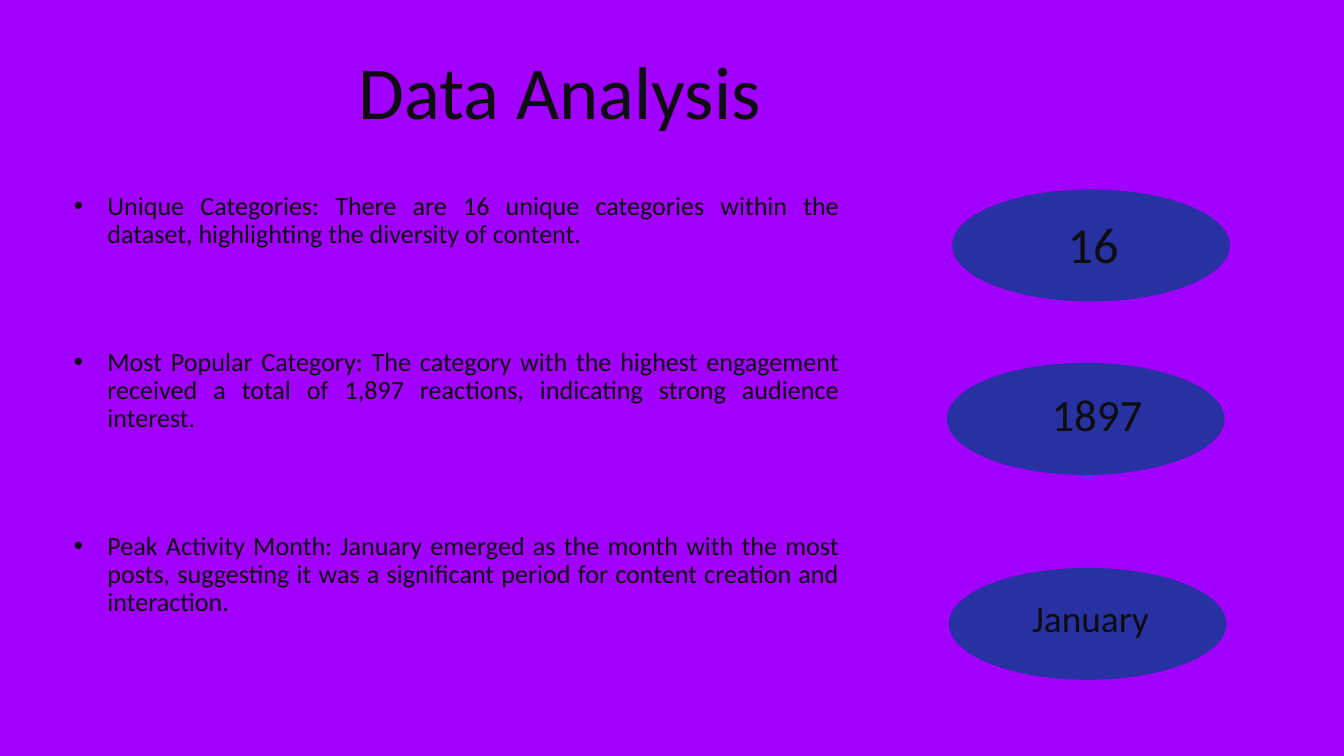
"""Build the Data Analysis slide with three findings and their key figures."""
from lxml.etree import SubElement
from pptx import Presentation
from pptx.dml.color import RGBColor
from pptx.enum.shapes import MSO_SHAPE
from pptx.enum.text import MSO_ANCHOR, PP_ALIGN
from pptx.oxml.ns import qn
from pptx.util import Pt

INK = "0D0D0D"
PURPLE = "A100FF"
BLUE = "2831A2"


def color(value):
    return RGBColor.from_string(value)


def add_text(frame, text, size, align=PP_ALIGN.LEFT, line_spacing=1.0, gap=0, bullet=False):
    para = frame.paragraphs[0]
    if para.runs:
        para = frame.add_paragraph()
        para.space_before = Pt(gap)
    para.alignment = align
    para.line_spacing = line_spacing
    if bullet:
        properties = para._p.get_or_add_pPr()
        properties.set("marL", str(Pt(36)))
        properties.set("indent", str(Pt(-36)))
        SubElement(properties, qn("a:buFont"), typeface="Arial")
        SubElement(properties, qn("a:buChar"), char="•")
    para.font.size = Pt(size)
    span = para.add_run()
    span.text = text
    span.font.name = "Calibri"
    span.font.size = Pt(size)
    span.font.color.rgb = color(INK)


deck = Presentation()
deck.slide_width, deck.slide_height = Pt(1440), Pt(810)
page = deck.slides.add_slide(deck.slide_layouts[6])
page.background.fill.solid()
page.background.fill.fore_color.rgb = color(PURPLE)

title = page.shapes.add_textbox(Pt(293.8), Pt(33.1), Pt(612), Pt(116)).text_frame
title.word_wrap = True
title.vertical_anchor = MSO_ANCHOR.BOTTOM
add_text(title, "Data Analysis", 80, align=PP_ALIGN.CENTER, line_spacing=0.9)

findings = [
    "Unique Categories: There are 16 unique categories within the dataset, "
    "highlighting the diversity of content.",
    "Most Popular Category: The category with the highest engagement received "
    "a total of 1,897 reactions, indicating strong audience interest.",
    "Peak Activity Month: January emerged as the month with the most posts, "
    "suggesting it was a significant period for content creation and interaction.",
]
body = page.shapes.add_textbox(Pt(72), Pt(203), Pt(833.8), Pt(539.3)).text_frame
body.word_wrap = True
for finding in findings:
    add_text(body, finding, 28, align=PP_ALIGN.JUSTIFY, line_spacing=0.9, gap=106.5, bullet=True)

figures = [
    ("16", 54, (1020.2, 203), (1136.9, 224.6, 84.2, 72.7)),
    ("1897", 48, (1014.5, 388.8), (1119.6, 411.1, 112.3, 65.5)),
    ("January", 40, (1016.6, 608.4), (1098.7, 634.3, 139.7, 55.4)),
]
for label, size, (left, top), label_place in figures:
    oval = page.shapes.add_shape(MSO_SHAPE.OVAL, Pt(left), Pt(top), Pt(297.5), Pt(120))
    oval.shadow.inherit = False
    oval.fill.solid()
    oval.fill.fore_color.rgb = color(BLUE)
    oval.line.fill.background()
    box = page.shapes.add_textbox(*map(Pt, label_place))
    box.text_frame.word_wrap = False
    add_text(box.text_frame, label, size)

deck.save("out.pptx")
